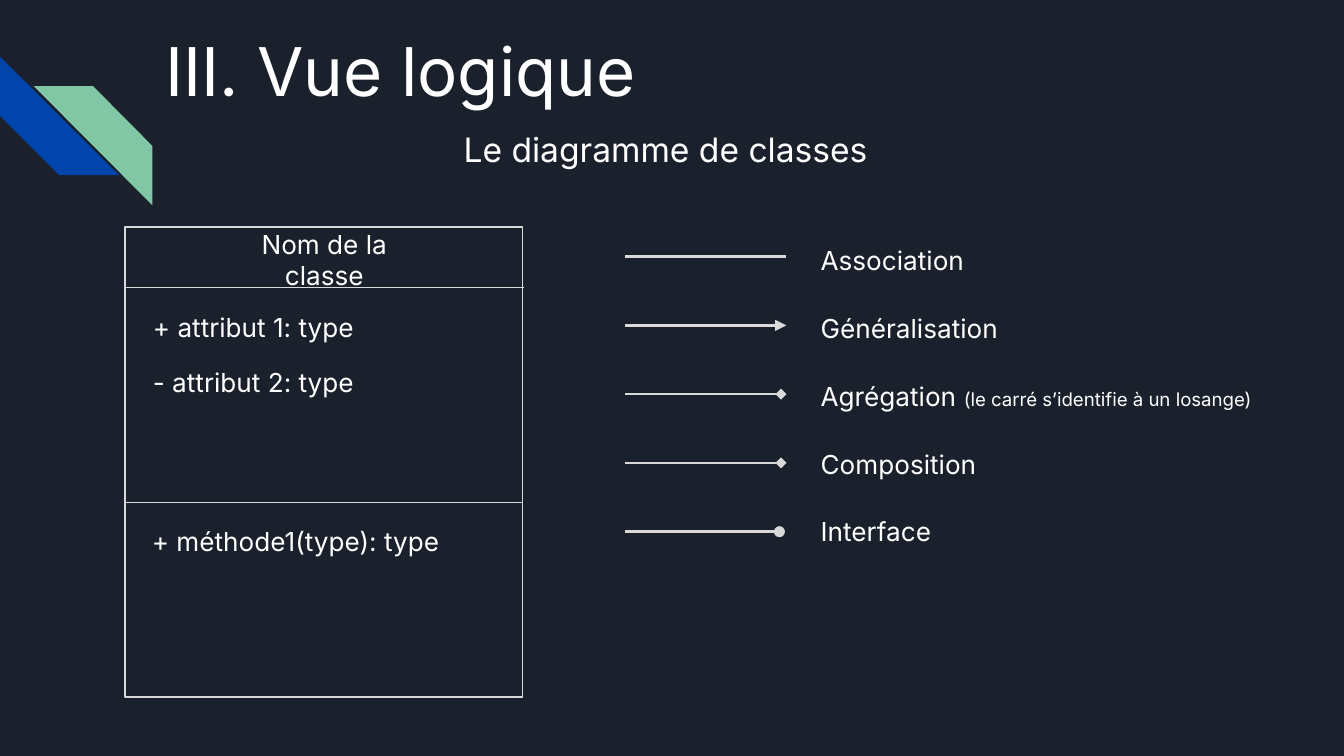
from lxml.etree import SubElement
from pptx import Presentation
from pptx.dml.color import RGBColor
from pptx.enum.shapes import MSO_CONNECTOR, MSO_SHAPE
from pptx.enum.text import MSO_ANCHOR, MSO_AUTO_SIZE, PP_ALIGN
from pptx.oxml.ns import qn
from pptx.util import Cm, Pt

WHITE, GREY, NAVY, BLUE, GREEN = "FFFFFF", "D9D9D9", "1B212C", "0145AC", "82C7A5"


def colour(value):
    return RGBColor.from_string(value)


def assign(target, values):
    for name, value in values.items():
        setattr(target, name, value)


class ClassDiagramPage:
    """Holds the style and the current slide, and draws its elements."""

    font = "Inter"
    inset = Cm(0.25)

    def __init__(self, deck):
        self.page = deck.slides.add_slide(deck.slide_layouts[0])
        fill = self.page.background.fill
        fill.solid()
        fill.fore_color.rgb = colour(NAVY)

    def fill_text(self, box, spans, align=PP_ALIGN.LEFT, anchor=MSO_ANCHOR.MIDDLE):
        frame = box.text_frame
        assign(frame, {
            "word_wrap": True, "auto_size": MSO_AUTO_SIZE.SHAPE_TO_FIT_TEXT,
            "vertical_anchor": anchor,
            "margin_left": self.inset, "margin_right": self.inset,
            "margin_top": self.inset, "margin_bottom": self.inset,
        })
        para = frame.paragraphs[0]
        assign(para, {"alignment": align, "space_before": Pt(0)})
        for text, size in spans:
            span = para.add_run()
            span.text = text
            assign(span.font, {"name": self.font, "size": Pt(size)})
            span.font.color.rgb = colour(WHITE)

    def heading(self, index, text, size, left, top, width, height):
        box = self.page.placeholders[index]
        assign(box, {"left": Cm(left), "top": Cm(top),
                     "width": Cm(width), "height": Cm(height)})
        self.fill_text(box, [(text, size)], anchor=MSO_ANCHOR.TOP)

    def label(self, spans, left, top, width, height=1.07, align=PP_ALIGN.LEFT):
        box = self.page.shapes.add_textbox(Cm(left), Cm(top), Cm(width), Cm(height))
        self.fill_text(box, spans, align)

    def frame(self, left, top, width, height):
        box = self.page.shapes.add_shape(
            MSO_SHAPE.RECTANGLE, Cm(left), Cm(top), Cm(width), Cm(height))
        box.shadow.inherit = False
        box.fill.background()
        box.line.color.rgb = colour(GREY)
        box.line.width = Pt(0.75)

    def ribbon(self, points, fill):
        corners = [(Cm(x), Cm(y)) for x, y in points]
        builder = self.page.shapes.build_freeform(*corners[0])
        builder.add_line_segments(corners[1:], close=True)
        shape = builder.convert_to_shape()
        shape.shadow.inherit = False
        shape.fill.solid()
        shape.fill.fore_color.rgb = colour(fill)
        shape.line.fill.background()

    def rule(self, start, end, y, weight, head=None):
        connector = self.page.shapes.add_connector(
            MSO_CONNECTOR.STRAIGHT, Cm(start), Cm(y), Cm(end), Cm(y))
        connector.line.color.rgb = colour(GREY)
        connector.line.width = Pt(weight)
        properties = connector._element.spPr
        if head:
            SubElement(properties.get_or_add_ln(), qn("a:tailEnd"), type=head)
        SubElement(properties, qn("a:effectLst"))


deck = Presentation()
assign(deck, {"slide_width": Cm(25.4), "slide_height": Cm(14.29)})
diagram = ClassDiagramPage(deck)

diagram.ribbon([(1.12, 3.31), (0, 2.19), (0, 1.07), (2.25, 3.31)], BLUE)
diagram.ribbon([(2.88, 2.76), (1.76, 1.63), (0.64, 1.63), (2.88, 3.88)], GREEN)
diagram.heading(1, "Le diagramme de classes", 18, 8.51, 2.18, 8.38, 1.27)
diagram.heading(0, "III. Vue logique", 36, 2.87, 0.3, 21.46, 1.98)

diagram.frame(2.36, 4.29, 7.52, 8.89)
for start, y in [(2.39, 5.44), (2.36, 9.5)]:
    diagram.rule(start, start + 7.52, y, 0.75)
diagram.label([("Nom de la classe", 14)], 4.06, 4.09, 4.14, 1.63, PP_ALIGN.CENTER)
members = [
    ("+ attribut 1: type", 2.64, 5.64),
    ("- attribut 2: type", 2.64, 6.68),
    ("+ méthode1(type): type", 2.62, 9.7),
]
for text, left, top in members:
    diagram.label([(text, 14)], left, top, 7.04)

relations = [
    ([("Association", 14)], None, 14.86),
    ([("Généralisation", 14)], "triangle", 14.86),
    ([("Agrégation ", 14), ("(le carré s’identifie à un losange)", 10)], "diamond", 14.76),
    ([("Composition", 14)], "diamond", 14.76),
    ([("Interface", 14)], "oval", 14.73),
]
for row, (spans, head, end) in enumerate(relations):
    diagram.rule(11.81, end, 4.85 + 1.3 * row, 1.5, head)
    diagram.label(spans, 15.26, 4.39 + 1.28 * row, 8.71)

deck.save("out.pptx")
